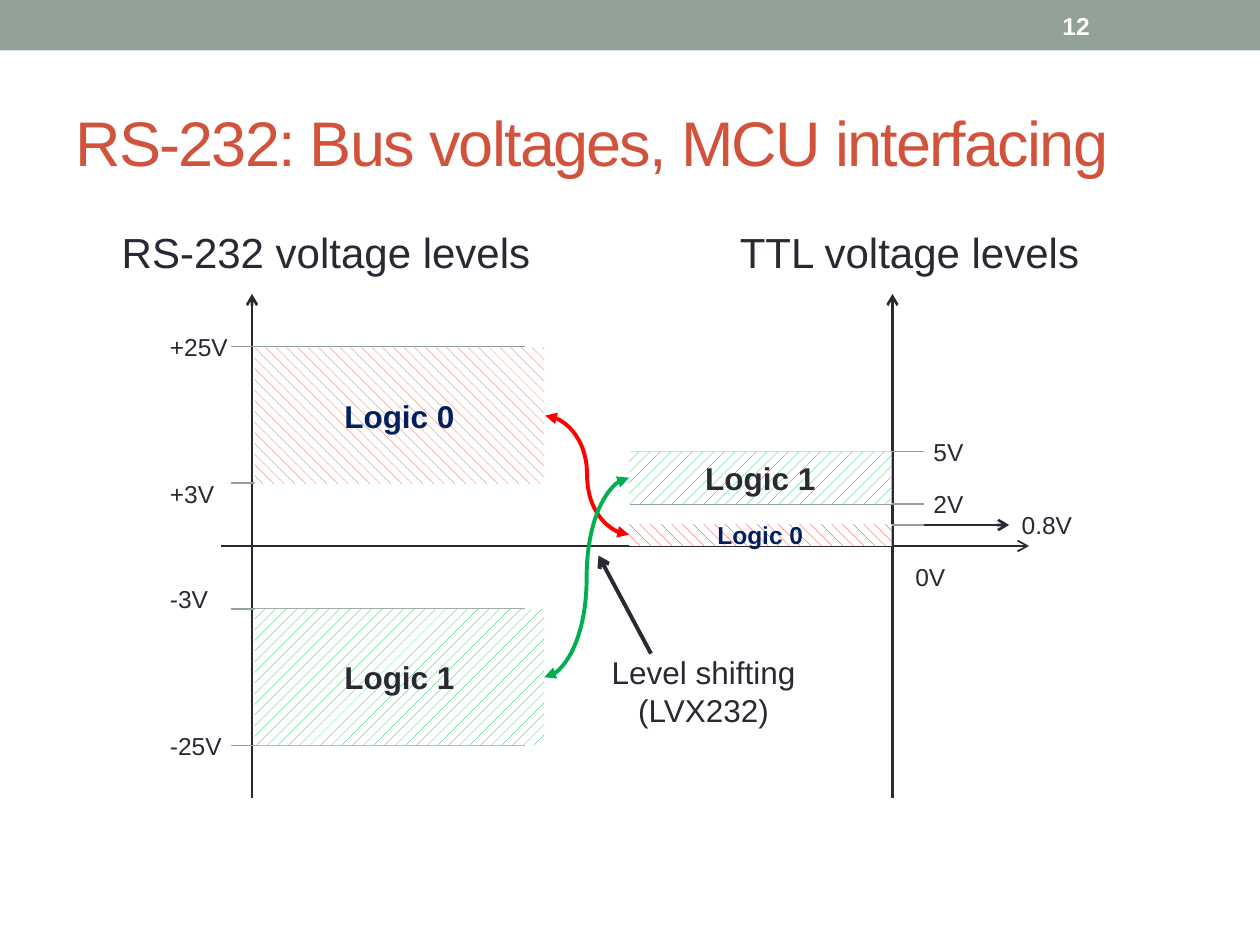
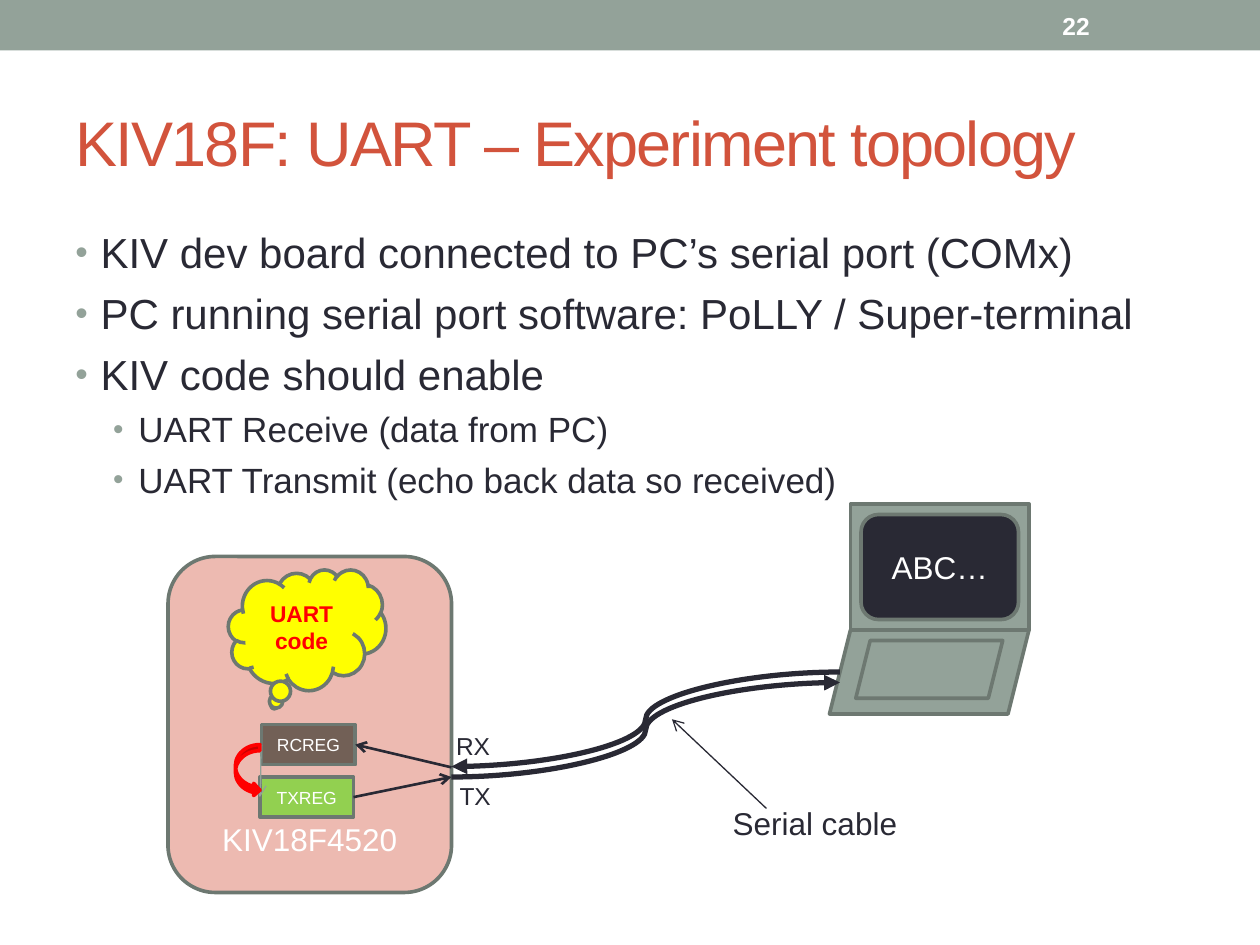
from pptx import Presentation
from pptx.dml.color import RGBColor
from pptx.enum.dml import MSO_PATTERN
from pptx.enum.shapes import MSO_CONNECTOR as LINK, MSO_SHAPE as SHAPE
from pptx.enum.text import MSO_ANCHOR as ANCHOR, PP_ALIGN as ALIGN
from pptx.oxml.ns import qn
from pptx.util import Pt
from lxml.etree import SubElement

INK, SAGE, SAGE_EDGE, RUST = "292934", "93A299", "6D7871", "D2533C"
WHITE, NAVY, RED, GREEN = "FFFFFF", "002060", "FF0000", "00B050"
FONT = "Arial"
rgb = RGBColor.from_string


def write(slide, text, left, top, width, height, kind=None, fill=None, hatch=None,
          edge=None, size=18, color=INK, bold=False, align=ALIGN.LEFT,
          anchor=ANCHOR.TOP, wrap=True, spacing=0):
    """Place text in a text box, or in a preset shape when kind is given."""
    box = tuple(Pt(v) for v in (left, top, width, height))
    if kind is None:
        item = slide.shapes.add_textbox(*box)
    else:
        item = slide.shapes.add_shape(kind, *box)
        item.shadow.inherit = False
        if hatch:
            item.fill.patterned()
            item.fill.pattern, strokes = hatch
            item.fill.fore_color.rgb = rgb(strokes)
            item.fill.back_color.rgb = rgb(WHITE)
        else:
            item.fill.solid()
            item.fill.fore_color.rgb = rgb(fill)
        if edge:
            item.line.color.rgb = rgb(edge)
            item.line.width = Pt(2.08)
        else:
            item.line.fill.background()
    frame = item.text_frame
    frame.word_wrap = wrap
    frame.vertical_anchor = anchor
    if text:
        frame.text = text
        for paragraph in frame.paragraphs:
            paragraph.alignment = align
            for run in paragraph.runs:
                font = run.font
                font.name, font.size, font.bold = FONT, Pt(size), bold
                font.color.rgb = rgb(color)
                if spacing:
                    font._element.set("spc", str(spacing * 100))
    return item


def link(slide, start, end, color=INK, width=1.5, kind=LINK.STRAIGHT, head=None, tail=None):
    """Draw a line; head is the mark at its start, tail the mark at its end."""
    line = slide.shapes.add_connector(kind, *(Pt(v) for v in (*start, *end)))
    line.line.color.rgb = rgb(color)
    line.line.width = Pt(width)
    properties = line._element.spPr
    for tag, mark in (("a:headEnd", head), ("a:tailEnd", tail)):
        if mark:
            SubElement(properties.find(qn("a:ln")), qn(tag), type=mark)
    SubElement(properties, qn("a:effectLst"))


deck = Presentation()
deck.slide_width, deck.slide_height = Pt(720), Pt(540)

# Shared band, title and slide number
pages = []
for title, number in (("RS-232: Bus voltages, MCU interfacing", "12"),
                      ("KIV18F: UART – Experiment topology", "22")):
    page = deck.slides.add_slide(deck.slide_layouts[6])
    write(page, "", 0, 0, 720, 28.8, kind=SHAPE.RECTANGLE, fill=SAGE)
    write(page, title, 36, 42, 648, 78, size=36, color=RUST,
          anchor=ANCHOR.MIDDLE, spacing=-1)
    write(page, number, 600, 1.5, 84, 26, size=14, color=WHITE, bold=True,
          anchor=ANCHOR.MIDDLE)
    pages.append(page)
voltages, topology = pages

# Voltage levels: headings and axes
for heading, left in (("RS-232 voltage levels", 62.5), ("TTL voltage levels", 415.7)):
    title_box = write(voltages, heading, left, 126, 260, 40, size=24)
    title_box.text_frame.paragraphs[0].space_before = Pt(6)
ZERO = 312
for axis in (144, 510):
    link(voltages, (axis, 456), (axis, 168), tail="arrow")
link(voltages, (126, ZERO), (588, ZERO), width=1, tail="arrow")

# Level lines, 168 points long on both sides
for left, levels in ((132, (198, 276, 348, 426)), (360, (300, 288, 258))):
    for level in levels:
        link(voltages, (left, level), (left + 168, level), color=SAGE, width=0.75)

# Voltage labels
for label, left, top, width in (
        ("+25V", 90, 186, 47.5), ("+3V", 90, 270, 40.3),
        ("-3V", 90, 330, 36.7), ("-25V", 90, 414, 44.6),
        ("0V", 516, 317.5, 31.7), ("0.8V", 576.7, 288, 43.9),
        ("2V", 526.3, 276, 31.7), ("5V", 526.3, 246, 31.7)):
    write(voltages, label, left, top, width, 24.2, size=14, wrap=False)

# Logic ranges
DOWN, UP = MSO_PATTERN.DASHED_DOWNWARD_DIAGONAL, MSO_PATTERN.DASHED_UPWARD_DIAGONAL
for logic, left, top, width, height, hatch, color, size in (
        ("Logic 0", 145.5, 198.5, 165.6, 78, (DOWN, RUST), NAVY, 18),
        ("Logic 1", 145.5, 348, 165.6, 78, (UP, GREEN), INK, 18),
        ("Logic 0", 359.5, 299.5, 150, 12.5, (DOWN, RED), NAVY, 14),
        ("Logic 1", 359.5, 258, 150, 30, (UP, GREEN), INK, 18)):
    write(voltages, logic, left, top, width, height, kind=SHAPE.RECTANGLE, hatch=hatch,
          size=size, color=color, bold=True, align=ALIGN.CENTER, anchor=ANCHOR.MIDDLE)
link(voltages, (528, 300), (576.7, 300), tail="arrow")

# Level shifting between the two standards
for start, end, color in (((311.5, 237.5), (359.5, 305.5), RED),
                          ((359.5, 273), (311, 387), GREEN)):
    link(voltages, start, end, color=color, width=2.25, kind=LINK.CURVE,
         head="triangle", tail="triangle")
write(voltages, "Level shifting\n(LVX232)", 342, 369.5, 120, 51, kind=SHAPE.RECTANGLE,
      fill=WHITE, align=ALIGN.CENTER, wrap=False)
link(voltages, (372, 373.5), (342, 317.5), width=2.25, tail="arrow")

# Topology: bullet list
steps = (("KIV dev board connected to PC’s serial port (COMx)", 0),
         ("PC running serial port software: PoLLY / Super-terminal", 0),
         ("KIV code should enable", 0),
         ("UART Receive (data from PC)", 1),
         ("UART Transmit (echo back data so received)", 1))
body = write(topology, "\n".join(step for step, _ in steps), 36, 126, 648, 384, size=24)
for paragraph, (_, level) in zip(body.text_frame.paragraphs, steps):
    size = (24, 20)[level]
    paragraph.level = level
    paragraph.runs[0].font.size = Pt(size)
    paragraph.space_before = Pt(size / 4)
    layout = paragraph._p.get_or_add_pPr()
    layout.set("marL", str(Pt((14.4, 36)[level])))
    layout.set("indent", str(Pt(-14.4)))
    SubElement(SubElement(layout, qn("a:buClr")), qn("a:srgbClr"), val=SAGE)
    SubElement(layout, qn("a:buSzPct"), val="85000")
    SubElement(layout, qn("a:buFont"), typeface=FONT)
    SubElement(layout, qn("a:buChar"), char="•")

# Microcontroller and laptop
centred = dict(align=ALIGN.CENTER, edge=SAGE_EDGE, color=WHITE)
chip = write(topology, "KIV18F4520", 96, 318, 162, 192, kind=SHAPE.ROUNDED_RECTANGLE,
             fill="EDBAB1", anchor=ANCHOR.BOTTOM, **centred)
chip.text_frame.margin_bottom = Pt(12)
centred["anchor"] = ANCHOR.MIDDLE
for text, left, top, width, height, kind, fill, style in (
        ("", 486, 288, 102, 72, SHAPE.RECTANGLE, SAGE, {}),
        ("", 474, 360, 114, 48, SHAPE.PARALLELOGRAM, SAGE, {}),
        ("ABC…", 492, 294, 90, 60, SHAPE.ROUNDED_RECTANGLE, INK, {}),
        ("", 489, 366, 84, 33, SHAPE.PARALLELOGRAM, SAGE, {}),
        ("UART code", 130.5, 325.5, 90, 69, SHAPE.CLOUD_CALLOUT, "FFFF00",
         dict(size=13, color=RED, bold=True)),
        ("TXREG", 148.5, 444, 53.5, 23, SHAPE.RECTANGLE, "92D050", dict(size=10)),
        ("RCREG", 149.5, 414, 53.5, 23, SHAPE.RECTANGLE, "726056", dict(size=10))):
    write(topology, text, left, top, width, height, kind=kind, fill=fill,
          **{**centred, **style})

# Serial cable
for offset, head, tail in ((6, "triangle", None), (0, None, "triangle")):
    link(topology, (480, 384 + offset), (258, 438 + offset), width=3,
         kind=LINK.CURVE, head=head, tail=tail)
for pin, left, top, width in (("RX", 253.5, 414, 34.5), ("TX", 255.5, 443, 32.5)):
    write(topology, pin, left, top, width, 24.2, size=14, wrap=False)
link(topology, (438, 462), (384, 411), width=0.75, tail="arrow")
write(topology, "Serial cable", 411.5, 456, 109.5, 29, wrap=False)

# Register wiring and echo
link(topology, (258, 438.5), (203, 425.5), tail="arrow")
link(topology, (202, 455.5), (258, 444), tail="arrow")
link(topology, (149.5, 425.5), (148.5, 455.5), color=SAGE, width=0.75,
     kind=LINK.CURVE, tail="arrow")
write(topology, "", 134.5, 425.5, 14, 29.5, kind=SHAPE.CURVED_RIGHT_ARROW, fill=RED, edge=RED)

deck.save("out.pptx")
